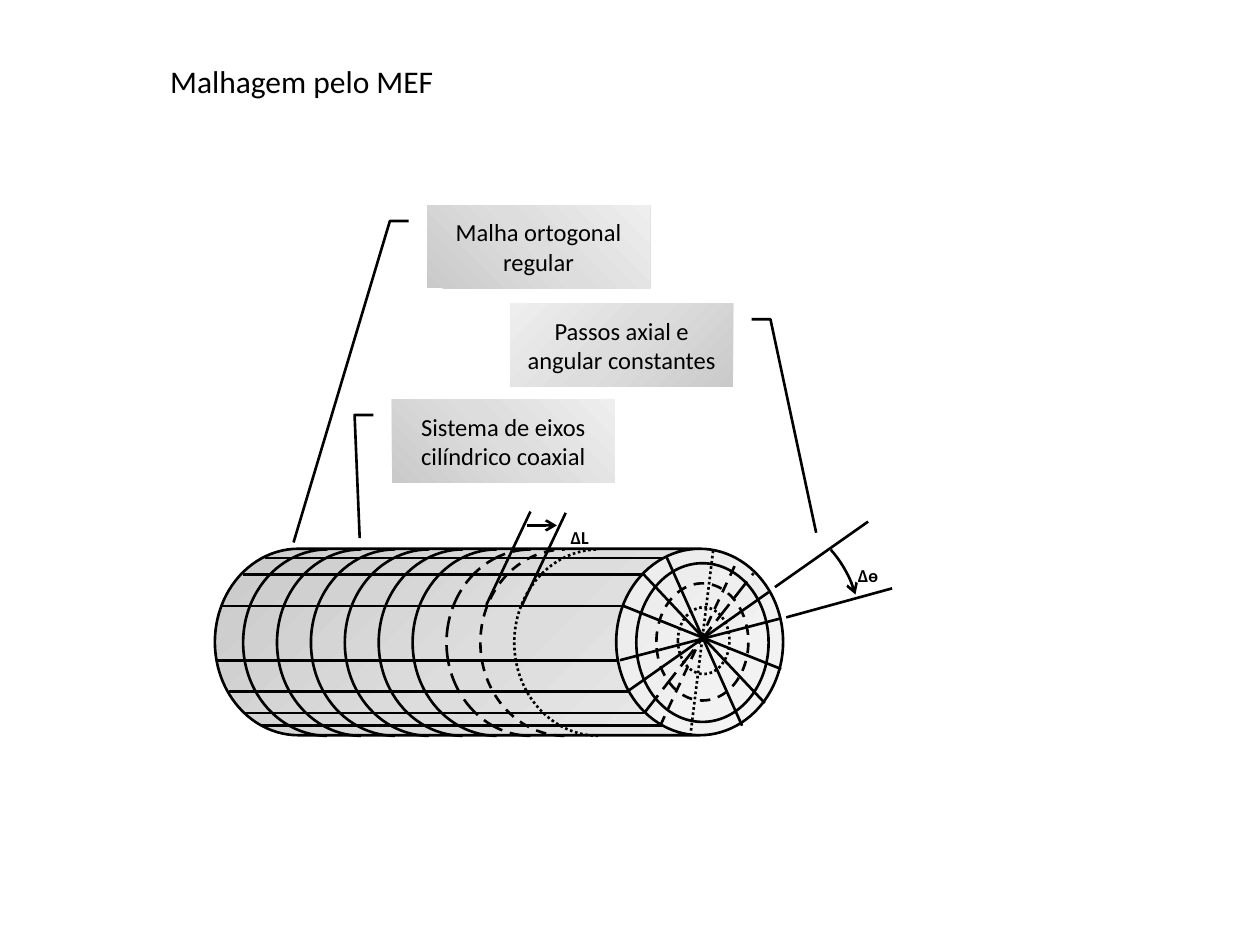
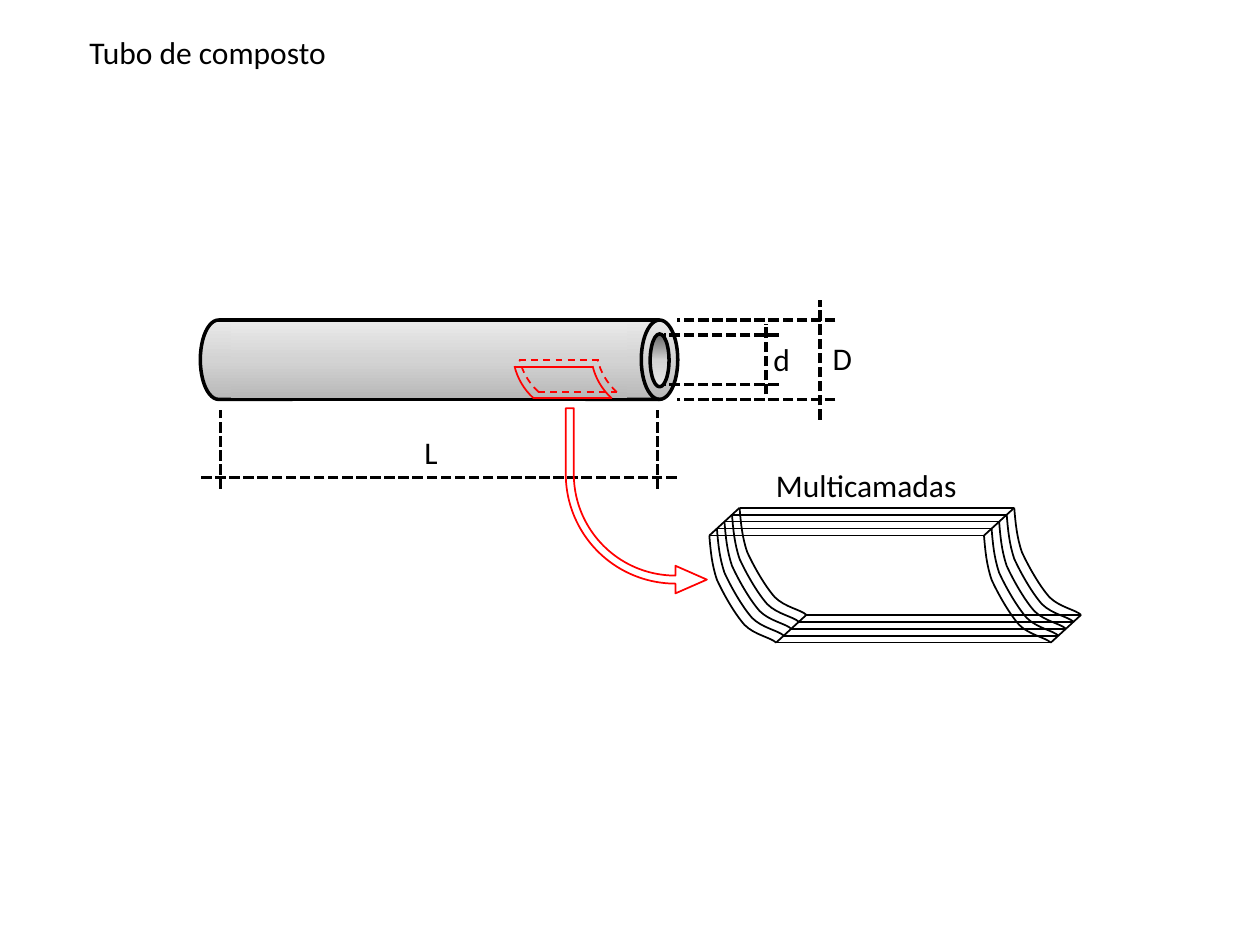
from copy import deepcopy

from lxml.etree import SubElement
from pptx import Presentation
from pptx.dml.color import RGBColor
from pptx.enum.dml import MSO_LINE as DASH
from pptx.enum.shapes import MSO_CONNECTOR, MSO_SHAPE as SHAPE
from pptx.enum.text import MSO_ANCHOR, MSO_AUTO_SIZE, PP_ALIGN
from pptx.oxml.ns import qn
from pptx.util import Pt

PX = 9144  # EMU per px, 100 px to the inch
FONT = "Calibri"
BLACK = RGBColor(0x00, 0x00, 0x00)
RED = RGBColor(0xFF, 0x00, 0x00)
MESH_GREYS = (RGBColor(0xCA, 0xCA, 0xCA), RGBColor(0xDD, 0xDD, 0xDD), RGBColor(0xEE, 0xEE, 0xEE))
TUBE_GREYS = (RGBColor(0xB8, 0xB8, 0xB8), RGBColor(0xD3, 0xD3, 0xD3), RGBColor(0xE9, 0xE9, 0xE9))
BORE_GREYS = (RGBColor(0x63, 0x63, 0x63), *TUBE_GREYS[1:])


# Shared helpers
def px(*lengths):
    return [round(length * PX) for length in lengths]


def style_line(item, color, width, dash=None, arrow=False):
    line = item.line
    line.color.rgb = color
    line.width = Pt(width)
    if dash:
        line.dash_style = dash
    if arrow:
        ln = item._element.spPr.find(qn("a:ln"))
        SubElement(ln, qn("a:tailEnd"), type="arrow")


def fill_gradient(shape, colors, angle):
    """Three even stops; the angle runs clockwise."""
    shape.fill.gradient()
    stops = shape._element.spPr.find(".//" + qn("a:gsLst"))
    stops.insert(1, deepcopy(stops[0]))
    for stop, color, position in zip(shape.fill.gradient_stops, colors, (0, 0.5, 1)):
        stop.color.rgb = color
        stop.position = position
    shape.fill.gradient_angle = 360 - angle


def add_figure(slide, kind, box, color=BLACK, width=1.5, dash=None, arrow=False,
               adjust=(), rotation=0, flip=None, gradient=None):
    figure = slide.shapes.add_shape(kind, *px(*box))
    figure.shadow.inherit = False
    for index, value in enumerate(adjust):
        figure.adjustments[index] = value
    figure.rotation = rotation
    if flip:
        figure._element.spPr.xfrm.set(flip, "1")
    if gradient:
        fill_gradient(figure, *gradient)
    else:
        figure.fill.background()
    if width:
        style_line(figure, color, width, dash, arrow)
    else:
        figure.line.fill.background()
    return figure


def add_line(slide, x1, y1, x2, y2, color=BLACK, width=1.5, dash=None, arrow=False):
    line = slide.shapes.add_connector(MSO_CONNECTOR.STRAIGHT, *px(x1, y1, x2, y2))
    style_line(line, color, width, dash, arrow)
    SubElement(line._element.spPr, qn("a:effectLst"))


def write(frame, text, size=18, align=PP_ALIGN.LEFT, subscript=False):
    frame.text = text
    paragraph = frame.paragraphs[0]
    paragraph.alignment = align
    for run in paragraph.runs:
        run.font.name = FONT
        run.font.size = Pt(size)
        run.font.color.rgb = BLACK
        if subscript:
            run.font.bold = True
            run.font._element.set("baseline", "-25000")


def fit_to_text(frame):
    frame.word_wrap = False
    frame.auto_size = MSO_AUTO_SIZE.SHAPE_TO_FIT_TEXT
    frame.vertical_anchor = MSO_ANCHOR.TOP


def add_label(slide, text, box, subscript=False):
    frame = slide.shapes.add_textbox(*px(*box)).text_frame
    write(frame, text, subscript=subscript)
    fit_to_text(frame)


def add_titled_slide(deck, text, box):
    slide = deck.slides.add_slide(deck.slide_layouts[5])
    title = slide.shapes.title
    title.left, title.top, title.width, title.height = px(*box)
    write(title.text_frame, text)
    fit_to_text(title.text_frame)
    return slide


# Slide 1: finite element mesh
def add_mesh_cylinder(slide):
    add_figure(slide, SHAPE.CAN, (322, 284, 148, 451), adjust=[0.895], rotation=90,
               gradient=(MESH_GREYS, 315))
    ring_dashes = [None] * 6 + [DASH.LONG_DASH, DASH.DASH, DASH.ROUND_DOT]
    for index, dash in enumerate(ring_dashes):
        add_figure(slide, SHAPE.ARC, (186 + 26.9 * index, 443, 148, 134), dash=dash,
                   adjust=(108.159, 0), rotation=270)
    # Concentric rings on the end face
    for box, dash in (((505, 447, 105, 126), None),
                      ((521, 463, 73, 93), DASH.DASH),
                      ((538, 482, 41, 53), DASH.ROUND_DOT)):
        add_figure(slide, SHAPE.OVAL, box, dash=dash)
    # Axial lines
    for x, y in ((210, 443), (193, 456), (176, 481), (172, 524),
                 (182, 549), (193, 566), (207, 576)):
        add_line(slide, x, y, x + 318, y)
    # Diameters of the end face
    for ends, dash in (((529, 442, 589, 576), None), ((510, 455, 607, 558), None),
                       ((495, 481, 620, 531), None), ((492, 524, 619, 491), None),
                       ((499, 548, 610, 470), None), ((512, 565, 598, 455), DASH.LONG_DASH),
                       ((524, 576, 585, 445), DASH.DASH), ((566, 437, 548, 583), DASH.ROUND_DOT)):
        add_line(slide, *ends, dash=dash)


def add_callout(slide, text, x, y, tip_y, tip_x, flip=None):
    callout = add_figure(slide, SHAPE.LINE_CALLOUT_2_NO_BORDER, (x, y, 177, 66), flip=flip,
                         adjust=(0.188, -0.083, 0.188, -0.167, tip_y, tip_x),
                         gradient=(MESH_GREYS, 315))
    write(callout.text_frame, text, size=14, align=PP_ALIGN.CENTER)
    callout.text_frame.word_wrap = True
    callout.text_frame.vertical_anchor = MSO_ANCHOR.MIDDLE


def add_mesh_steps(slide):
    # Angular step
    add_line(slide, 615, 466, 689, 414)
    add_line(slide, 624, 490, 708, 467)
    add_figure(slide, SHAPE.ARC, (546, 423, 148, 117), adjust=(149.594, 173.362),
               rotation=61.8, arrow=True)
    add_label(slide, "Δѳ", (671, 426, 38, 30), subscript=True)
    # Axial step
    add_line(slide, 386, 480, 421, 406)
    add_line(slide, 414, 481, 449, 407)
    add_line(slide, 418, 417, 442, 417, arrow=True)
    add_label(slide, "ΔL", (443, 396, 37, 30), subscript=True)


def build_mesh_slide(deck):
    slide = add_titled_slide(deck, "Malhagem pelo MEF", (125, 44, 232, 40))
    add_mesh_cylinder(slide)
    add_callout(slide, "Malha ortogonal regular", 339, 163, 4.055, -0.599)
    add_callout(slide, "Sistema de eixos cilíndrico coaxial", 311, 317, 1.669, -0.144)
    add_callout(slide, "Passos axial e angular constantes", 405, 241, 2.757, -0.372, "flipH")
    add_mesh_steps(slide)


# Slide 2: composite tube
def add_dimension(slide, label, label_box, *lines):
    for ends in lines:
        add_line(slide, *ends, width=2, dash=DASH.SQUARE_DOT)
    add_label(slide, label, label_box)


def add_tube(slide):
    shade = (TUBE_GREYS, 270)
    for x in (159, 451):
        add_figure(slide, SHAPE.FLOWCHART_DIRECT_ACCESS_STORAGE, (x, 254, 87, 63),
                   width=2, gradient=shade)
    add_figure(slide, SHAPE.RECTANGLE, (207, 254, 276, 63), width=2, gradient=shade)
    add_figure(slide, SHAPE.RECTANGLE, (183, 256, 315, 60), width=0, gradient=shade)
    add_dimension(slide, "L", (327, 339, 34, 40),
                  (175, 388, 175, 325), (522, 388, 522, 325), (537, 379, 159, 379))
    add_dimension(slide, "D", (651, 264, 36, 40),
                  (663, 254, 537, 254), (663, 317, 537, 317), (651, 333, 651, 238))
    add_figure(slide, SHAPE.OVAL, (516, 265, 15, 42), width=2, gradient=(BORE_GREYS, 90))
    add_dimension(slide, "d", (604, 265, 34, 40),
                  (618, 266, 527, 266), (618, 305, 527, 305), (608, 313, 608, 257))


def add_sample_patch(slide, dx, dy, dash):
    outline = {"color": RED, "width": 1, "dash": dash}
    for x, y in ((423, 316), (408, 291)):
        add_line(slide, x + dx, y + dy, x + dx + 63, y + dy, **outline)
    for x in (407, 469):
        add_figure(slide, SHAPE.ARC, (x + dx, 229 + dy, 100, 100),
                   adjust=(79.153, 99.903), **outline)


# Start point, then three points for each cubic curve
LAYER_CURVE = [(0, 0), (1, 12), (2, 23), (6, 35), (11, 46), (20, 62), (28, 71),
               (36, 79), (49, 81), (53, 85)]
LAYER_WIDTH = 218


def bend_segments(freeform):
    """Turn each three straight segments into one cubic curve."""
    segments = list(freeform._element.iter(qn("a:lnTo")))
    for first in range(0, len(segments), 3):
        trio = segments[first:first + 3]
        curve = SubElement(trio[0].getparent(), qn("a:cubicBezTo"))
        for segment in trio:
            curve.append(segment[0])
            segment.getparent().remove(segment)


def add_layer_edge(slide, x, y):
    points = [px(x + dx, y + dy) for dx, dy in LAYER_CURVE]
    builder = slide.shapes.build_freeform(*points[0])
    builder.add_line_segments(points[1:], close=False)
    edge = builder.convert_to_shape()
    bend_segments(edge)
    edge.shadow.inherit = False
    edge.fill.background()
    style_line(edge, BLACK, 1)


def add_multilayer(slide):
    left, top, depth, rise = 563, 425, 24, 22
    end_x, end_y = LAYER_CURVE[-1]
    for layer in (0, 4, 1, 2, 3):
        x, y = left + depth * layer / 4, top - rise * layer / 4
        for dx, dy in ((end_x, end_y), (0, 0)):
            add_line(slide, x + dx, y + dy, x + dx + LAYER_WIDTH, y + dy, width=1)
        for dx in (0, LAYER_WIDTH):
            add_layer_edge(slide, x + dx, y)
    # Corner lines across the thickness
    for x in (left + LAYER_WIDTH, left):
        for dx, dy in ((0, 0), (end_x, end_y)):
            add_line(slide, x + dx, top + dy, x + dx + depth, top + dy - rise, width=1)
    add_label(slide, "Multicamadas", (606, 365, 176, 40))


def build_tube_slide(deck):
    slide = add_titled_slide(deck, "Tubo de composto", (61, 21, 210, 40))
    add_tube(slide)
    add_sample_patch(slide, 0, 0, None)
    add_sample_patch(slide, 4, -5, DASH.DASH)
    add_figure(slide, SHAPE.BENT_ARROW, (449, 324, 112, 147), color=RED, width=1,
               adjust=(0.057, 0.098, 0.223, 0.777), flip="flipV")
    add_multilayer(slide)


def main():
    deck = Presentation()
    deck.slide_width, deck.slide_height = px(1000, 750)
    build_mesh_slide(deck)
    build_tube_slide(deck)
    deck.save("out.pptx")


if __name__ == "__main__":
    main()
